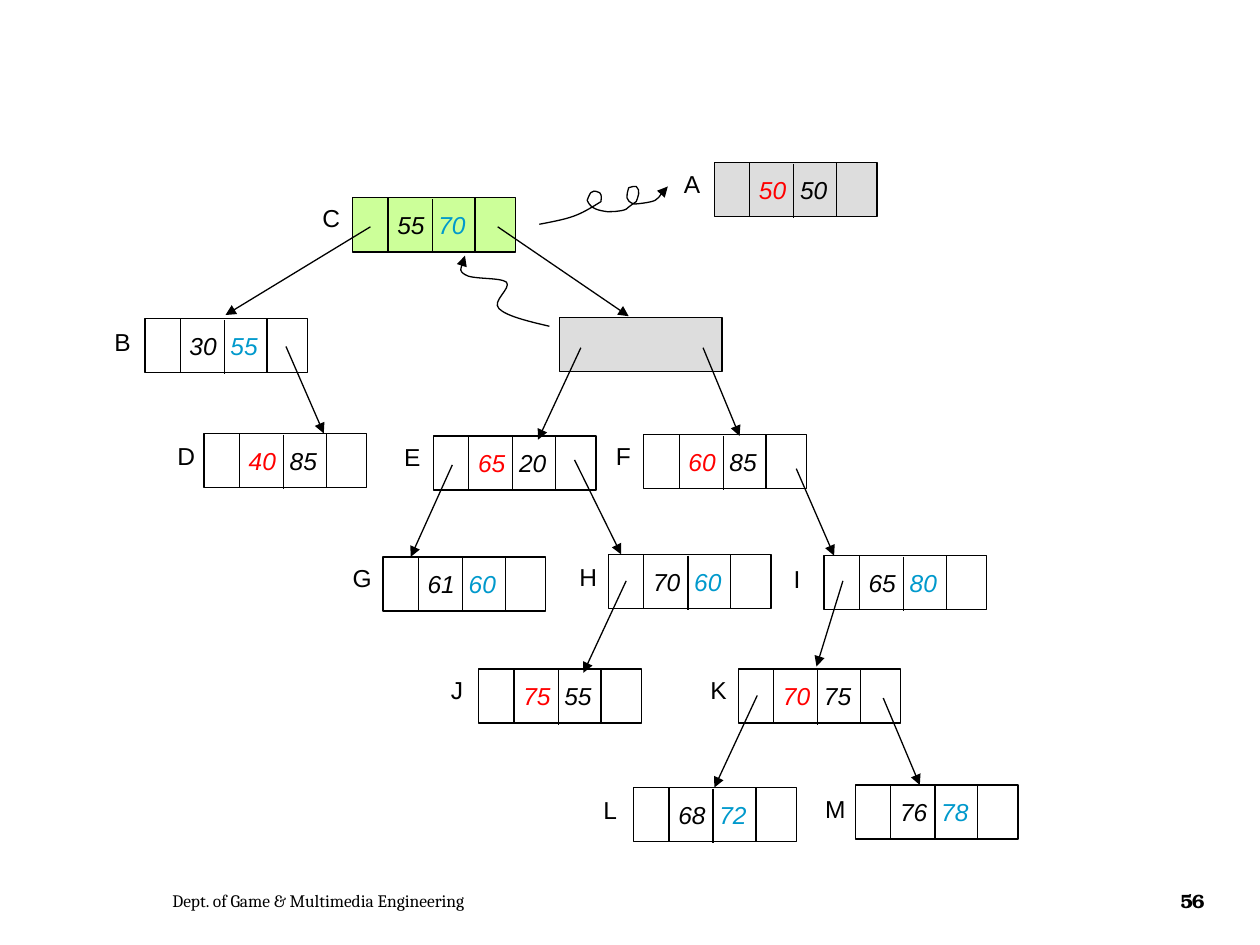
from lxml import etree
from pptx import Presentation
from pptx.dml.color import RGBColor
from pptx.enum.shapes import MSO_CONNECTOR, MSO_SHAPE
from pptx.enum.text import MSO_ANCHOR, PP_ALIGN
from pptx.oxml.ns import qn
from pptx.util import Inches, Pt

COLORS = {"ink": "000000", "red": "FF0000", "blue": "0099CC",
          "gray": "DDDDDD", "green": "CCFF99"}
NODE_W, NODE_H = 1.29, 0.43
KEY_X, KEY_W, DIVIDER_X = 0.28, 0.69, 0.63

# Label, label position, node position, two keys with colours, fill
NODES = [
    ("A", (5.33, 1.29), (5.67, 1.29), ("50", "red"), ("50", "ink"), "gray"),
    ("C", (2.46, 1.56), (2.80, 1.57), ("55", "ink"), ("70", "blue"), "green"),
    ("B", (0.81, 2.55), (1.15, 2.53), ("30", "ink"), ("55", "blue"), None),
    ("D", (1.31, 3.45), (1.62, 3.44), ("40", "red"), ("85", "ink"), None),
    ("E", (3.11, 3.46), (3.44, 3.46), ("65", "red"), ("20", "ink"), None),
    ("F", (4.79, 3.45), (5.11, 3.45), ("60", "red"), ("85", "ink"), None),
    ("G", (2.70, 4.42), (3.04, 4.42), ("61", "ink"), ("60", "blue"), None),
    ("H", (4.50, 4.41), (4.83, 4.40), ("70", "ink"), ("60", "blue"), None),
    ("I", (6.20, 4.43), (6.54, 4.41), ("65", "ink"), ("80", "blue"), None),
    ("J", (3.48, 5.31), (3.80, 5.31), ("75", "red"), ("55", "ink"), None),
    ("K", (5.54, 5.31), (5.86, 5.31), ("70", "red"), ("75", "ink"), None),
    ("L", (4.69, 6.26), (5.03, 6.25), ("68", "ink"), ("72", "blue"), None),
    ("M", (6.45, 6.25), (6.79, 6.23), ("76", "ink"), ("78", "blue"), None),
]

# Parent-to-child arrows: x1, y1, x2, y2
LINKS = [
    (2.94, 1.80, 1.79, 2.50), (3.95, 1.80, 4.99, 2.51),
    (2.27, 2.75, 2.57, 3.44), (4.61, 2.76, 4.27, 3.49),
    (5.58, 2.76, 5.87, 3.46), (3.59, 3.69, 3.26, 4.42),
    (4.56, 3.65, 4.93, 4.40), (6.32, 3.72, 6.62, 4.41),
    (4.97, 4.61, 4.63, 5.34), (6.69, 4.61, 6.48, 5.29),
    (6.01, 5.52, 5.67, 6.25), (7.01, 5.54, 7.30, 6.23),
]

# Start point, then cubic segments: two controls and an end
REMOVED_ROOT = [
    (4.28, 1.78),
    (4.54, 1.73), (4.58, 1.72), (4.77, 1.60),
    (4.77, 1.58), (4.78, 1.55), (4.76, 1.53),
    (4.68, 1.49), (4.68, 1.55), (4.66, 1.59),
    (4.69, 1.66), (4.75, 1.67), (4.82, 1.68),
    (4.85, 1.68), (4.93, 1.68), (4.97, 1.66),
    (4.99, 1.64), (5.05, 1.60), (5.05, 1.60),
    (5.06, 1.57), (5.09, 1.51), (5.05, 1.48),
    (5.03, 1.47), (5.01, 1.49), (4.99, 1.49),
    (4.97, 1.56), (4.96, 1.59), (5.03, 1.62),
    (5.04, 1.62), (5.16, 1.61), (5.20, 1.59),
    (5.24, 1.56), (5.26, 1.51), (5.30, 1.48)]
PROMOTED_NODE = [
    (4.36, 2.59),
    (4.19, 2.55), (4.02, 2.51), (3.96, 2.45),
    (3.90, 2.39), (4.06, 2.29), (4.02, 2.24),
    (3.97, 2.20), (3.74, 2.22), (3.69, 2.18),
    (3.64, 2.15), (3.67, 2.09), (3.69, 2.03)]


def rgb(name):
    return RGBColor.from_string(COLORS[name])


def style_line(s, arrow=False):
    s.line.color.rgb = rgb("ink")
    s.line.width = Pt(0.75)
    if arrow:
        etree.SubElement(s.line._get_or_add_ln(), qn("a:tailEnd"), type="triangle")


def add_run(p, text, color="ink", **fmt):
    r = p.add_run()
    r.text = text
    for name, value in {"name": "Arial", "size": Pt(14), **fmt}.items():
        setattr(r.font, name, value)
    r.font.color.rgb = rgb(color)
    return r


def add_rect(slide, x, y, w, h, fill=None):
    s = slide.shapes.add_shape(MSO_SHAPE.RECTANGLE, Inches(x), Inches(y),
                               Inches(w), Inches(h))
    s.shadow.inherit = False
    if fill:
        s.fill.solid()
        s.fill.fore_color.rgb = rgb(fill)
    else:
        s.fill.background()
    style_line(s)
    return s


def add_line(slide, x1, y1, x2, y2, arrow=False):
    s = slide.shapes.add_connector(MSO_CONNECTOR.STRAIGHT, Inches(x1), Inches(y1),
                                   Inches(x2), Inches(y2))
    style_line(s, arrow)
    etree.SubElement(s._element.spPr, qn("a:effectLst"))


def add_text(slide, box, text, wrap=True, anchor=MSO_ANCHOR.MIDDLE,
             align=PP_ALIGN.LEFT, **fmt):
    tf = slide.shapes.add_textbox(*map(Inches, box)).text_frame
    tf.word_wrap = wrap
    tf.vertical_anchor = anchor
    p = tf.paragraphs[0]
    p.alignment = align
    return add_run(p, text, **fmt)


def add_node(slide, label, label_at, at, left_key, right_key, fill):
    x, y = at
    add_rect(slide, x, y, NODE_W, NODE_H, fill)
    # Key pair, with a widened space around the divider
    s = add_rect(slide, x + KEY_X, y, KEY_W, NODE_H)
    tf = s.text_frame
    tf.word_wrap = False
    tf.vertical_anchor = MSO_ANCHOR.MIDDLE
    p = tf.paragraphs[0]
    p.alignment = PP_ALIGN.CENTER
    add_run(p, *left_key, italic=True)
    gap = add_run(p, " ", italic=True)
    gap.font._element.set("spc", "390")
    add_run(p, *right_key, italic=True)
    add_line(slide, x + DIVIDER_X, y + 0.01, x + DIVIDER_X, y + 0.44)
    add_text(slide, (*label_at, 0.33, 0.33), label, wrap=False,
             anchor=MSO_ANCHOR.TOP)


def add_curve(slide, points):
    start, *rest = [(Inches(x), Inches(y)) for x, y in points]
    builder = slide.shapes.build_freeform(*start)
    builder.add_line_segments(rest, close=False)
    s = builder.convert_to_shape()
    # Join every three points into one cubic segment
    lines = list(s._element.iter(qn("a:lnTo")))
    for i in range(0, len(lines), 3):
        cubic = etree.Element(qn("a:cubicBezTo"))
        lines[i].addprevious(cubic)
        for line in lines[i:i + 3]:
            cubic.append(line[0])
            line.getparent().remove(line)
    s.shadow.inherit = False
    s.fill.background()
    style_line(s, arrow=True)


def add_tree(slide):
    # Vacated node
    add_rect(slide, 4.44, 2.52, NODE_W, NODE_H, "gray")
    for node in NODES:
        add_node(slide, *node)
    for link in LINKS:
        add_line(slide, *link, arrow=True)
    for curve in (REMOVED_ROOT, PROMOTED_NODE):
        add_curve(slide, curve)


def add_footer(slide, y, h):
    add_text(slide, (1.27, y, 4.59, h), "Dept. of Game & Multimedia Engineering",
             name="Cambria", size=Pt(10))
    r = add_text(slide, (9.2, y, 0.53, h), "56", align=PP_ALIGN.CENTER,
                 name="TeX Gyre Bonum", size=Pt(11), bold=True)
    r.font._element.set("spc", "-70")


def main():
    prs = Presentation()
    prs.slide_width, prs.slide_height = Inches(10), Inches(7.5)
    slide = prs.slides.add_slide(prs.slide_layouts[6])
    add_tree(slide)
    add_footer(slide, 6.95, 0.4)
    prs.save("out.pptx")


if __name__ == "__main__":
    main()
